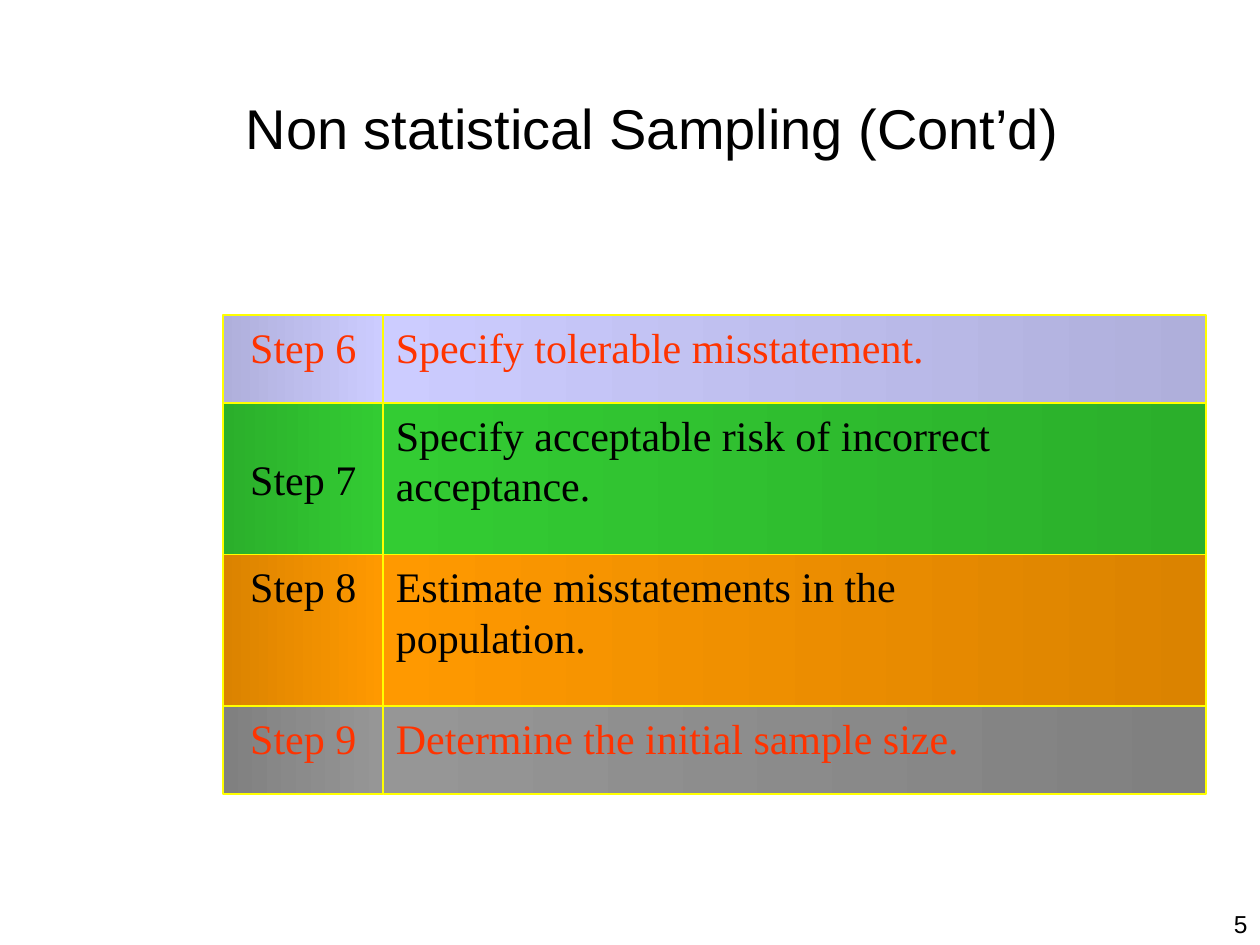
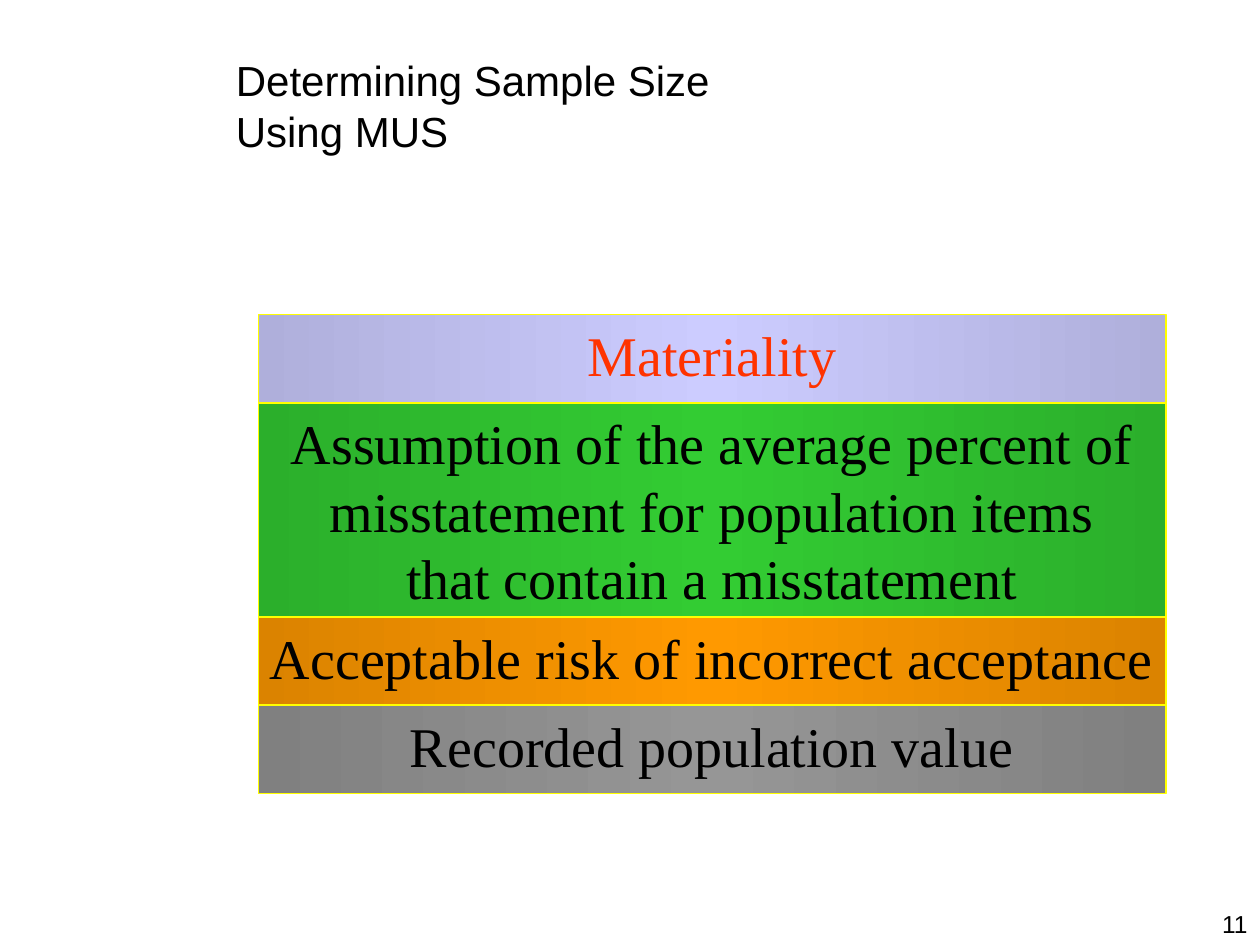
from copy import deepcopy
from dataclasses import dataclass

from pptx import Presentation
from pptx.dml.color import RGBColor as Rgb
from pptx.enum.shapes import MSO_SHAPE as Shape
from pptx.enum.text import MSO_ANCHOR as Anchor, MSO_AUTO_SIZE as AutoSize, PP_ALIGN as Align
from pptx.oxml.ns import qn
from pptx.util import Cm, Pt


@dataclass(frozen=True)
class Theme:
    # Each band colour is a (dark, light) pair
    lavender: tuple = ("AFAFDB", "CCCCFF")
    green: tuple = ("2BAF2B", "33CC33")
    orange: tuple = ("DB8300", "FF9900")
    grey: tuple = ("808080", "969696")
    border: str = "FFFF00"
    ink: str = "000000"
    accent: str = "FF3300"
    head_font: str = "Arial"
    band_font: str = "Times New Roman"
    title_size: int = 32
    small_title_size: int = 24
    step_size: int = 24
    factor_size: int = 32
    number_size: int = 14


THEME = Theme()
SLIDE_WIDTH, SLIDE_HEIGHT = 25.4, 19.05
TITLE_ONLY = 5
SHORT_ROW, STEP_ROW, FACTOR_ROW = 1.78, 3.05, 4.32


def write_lines(frame, lines, font_name, size, colour, align):
    """Write one paragraph per line, each as a styled run."""
    for index, line in enumerate(lines):
        para = frame.add_paragraph() if index else frame.paragraphs[0]
        para.alignment = align
        for part_index, part in enumerate(line.split("\n")):
            if part_index:
                para.add_line_break()
            span = para.add_run()
            span.text = part
            span.font.name = font_name
            span.font.size = Pt(size)
            span.font.color.rgb = Rgb.from_string(colour)


def fill_gradient(shape, colours):
    """Blend the colours evenly from left to right."""
    shape.fill.gradient()
    shape.fill.gradient_angle = 0
    stop_list = shape.element.spPr.find(".//" + qn("a:gsLst"))
    while len(stop_list) < len(colours):
        stop_list.append(deepcopy(stop_list[-1]))
    for index, (stop, colour) in enumerate(zip(shape.fill.gradient_stops, colours)):
        stop.position = index / (len(colours) - 1)
        stop.color.rgb = Rgb.from_string(colour)


def add_band(shapes, box, colours, lines, size, colour, align=Align.CENTER, anchor=Anchor.TOP):
    """Add a bordered gradient band with its text."""
    band = shapes.add_shape(Shape.RECTANGLE, *map(Cm, box))
    band.shadow.inherit = False
    fill_gradient(band, colours)
    band.line.color.rgb = Rgb.from_string(THEME.border)
    band.line.width = Pt(1)
    frame = band.text_frame
    frame.word_wrap = align == Align.LEFT
    frame.vertical_anchor = anchor
    write_lines(frame, lines, THEME.band_font, size, colour, align)


def add_page(deck, title, title_box, title_size, number):
    """Add a slide with its title and page number."""
    page = deck.slides.add_slide(deck.slide_layouts[TITLE_ONLY])
    heading = page.shapes.title
    heading.left, heading.top, heading.width, heading.height = map(Cm, title_box)
    frame = heading.text_frame
    frame.word_wrap = True
    frame.auto_size = AutoSize.NONE
    frame.vertical_anchor = Anchor.MIDDLE
    write_lines(frame, [title], THEME.head_font, title_size, THEME.ink, Align.LEFT)

    # Page number in the bottom right corner
    width, height = 5.28, 0.84
    corner = (SLIDE_WIDTH - width, SLIDE_HEIGHT - height, width, height)
    number_box = page.shapes.add_textbox(*map(Cm, corner))
    number_box.text_frame.word_wrap = True
    write_lines(number_box.text_frame, [str(number)], THEME.head_font,
                THEME.number_size, THEME.ink, Align.RIGHT)
    return page


def add_step_grid(page, left, top, label_width, text_width, steps):
    """Stack rows of a step label beside its description."""
    grid = page.shapes.add_group_shape().shapes
    for label, lines, height, (dark, light), colour, label_anchor in steps:
        add_band(grid, (left + label_width, top, text_width, height), (light, dark),
                 lines, THEME.step_size, colour, Align.LEFT)
        add_band(grid, (left, top, label_width, height), (dark, light),
                 [label], THEME.step_size, colour, anchor=label_anchor)
        top += height


def add_factor_stack(page, left, top, width, factors):
    """Stack full-width bands, lightest in the middle."""
    for lines, height, (dark, light), colour in factors:
        add_band(page.shapes, (left, top, width, height), (dark, light, dark),
                 lines, THEME.factor_size, colour)
        top += height


def build_steps_page(deck):
    page = add_page(deck, "Non statistical Sampling (Cont’d)", (4.7, 0.56, 20, 4),
                    THEME.title_size, 5)
    add_step_grid(page, 4.5, 6.35, 3.23, 16.59, [
        ("Step 6", ["Specify tolerable misstatement."],
         SHORT_ROW, THEME.lavender, THEME.accent, Anchor.TOP),
        ("Step 7", ["Specify acceptable risk of incorrect", "acceptance."],
         STEP_ROW, THEME.green, THEME.ink, Anchor.MIDDLE),
        ("Step 8", ["Estimate misstatements in the", "population."],
         STEP_ROW, THEME.orange, THEME.ink, Anchor.TOP),
        ("Step 9", ["Determine the initial sample size."],
         SHORT_ROW, THEME.grey, THEME.accent, Anchor.TOP),
    ])


def build_factors_page(deck):
    page = add_page(deck, "Determining Sample Size\nUsing MUS", (4.5, 0.53, 20.4, 3.18),
                    THEME.small_title_size, 11)
    add_factor_stack(page, 5.21, 6.34, 18.29, [
        (["Materiality"], SHORT_ROW, THEME.lavender, THEME.accent),
        (["Assumption of the average percent of", "misstatement for population items",
          "that contain a misstatement"], FACTOR_ROW, THEME.green, THEME.ink),
        (["Acceptable risk of incorrect acceptance"], SHORT_ROW, THEME.orange, THEME.ink),
        (["Recorded population value"], SHORT_ROW, THEME.grey, THEME.ink),
    ])


def main():
    deck = Presentation()
    deck.slide_width, deck.slide_height = Cm(SLIDE_WIDTH), Cm(SLIDE_HEIGHT)
    build_steps_page(deck)
    build_factors_page(deck)
    deck.save("out.pptx")


if __name__ == "__main__":
    main()
